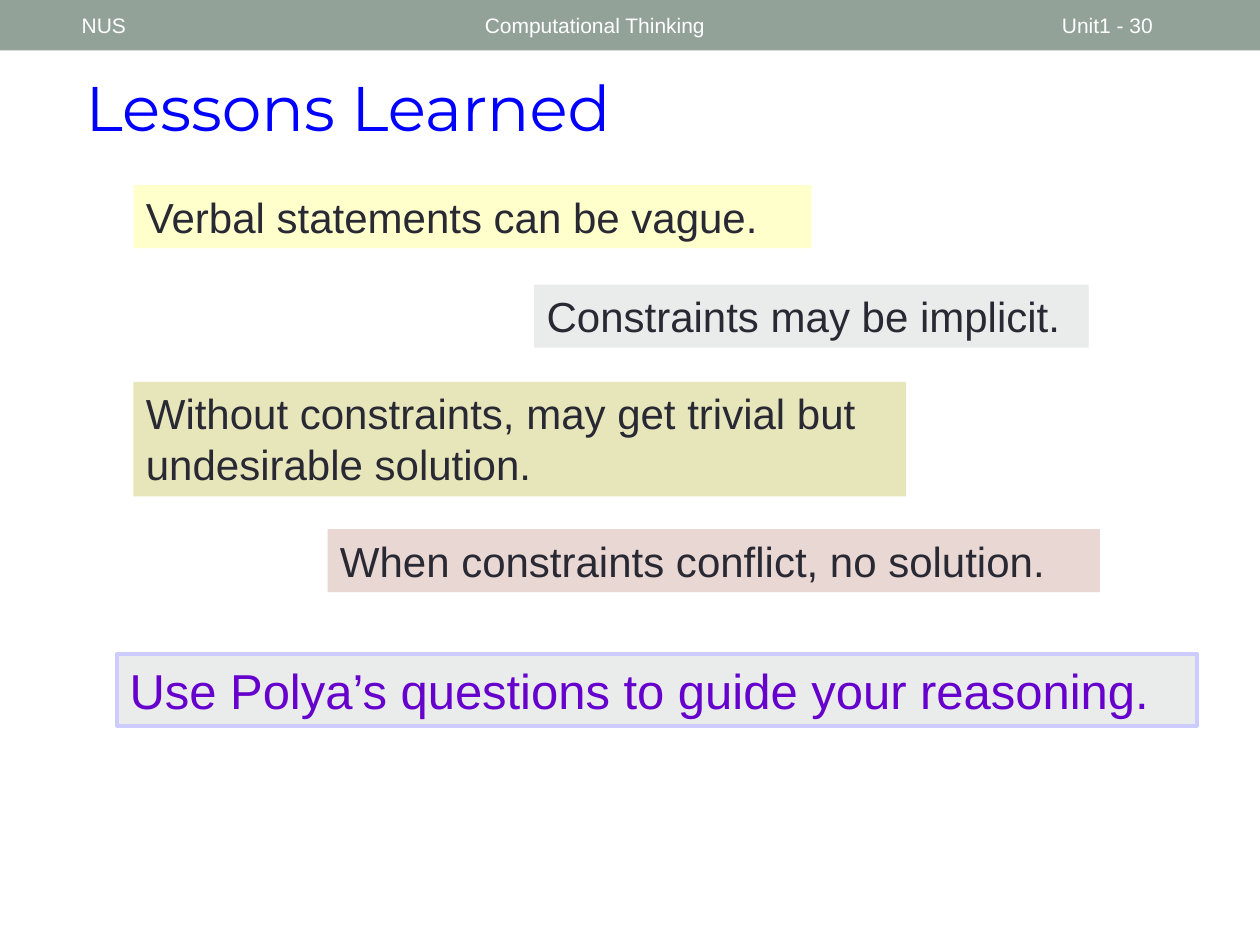
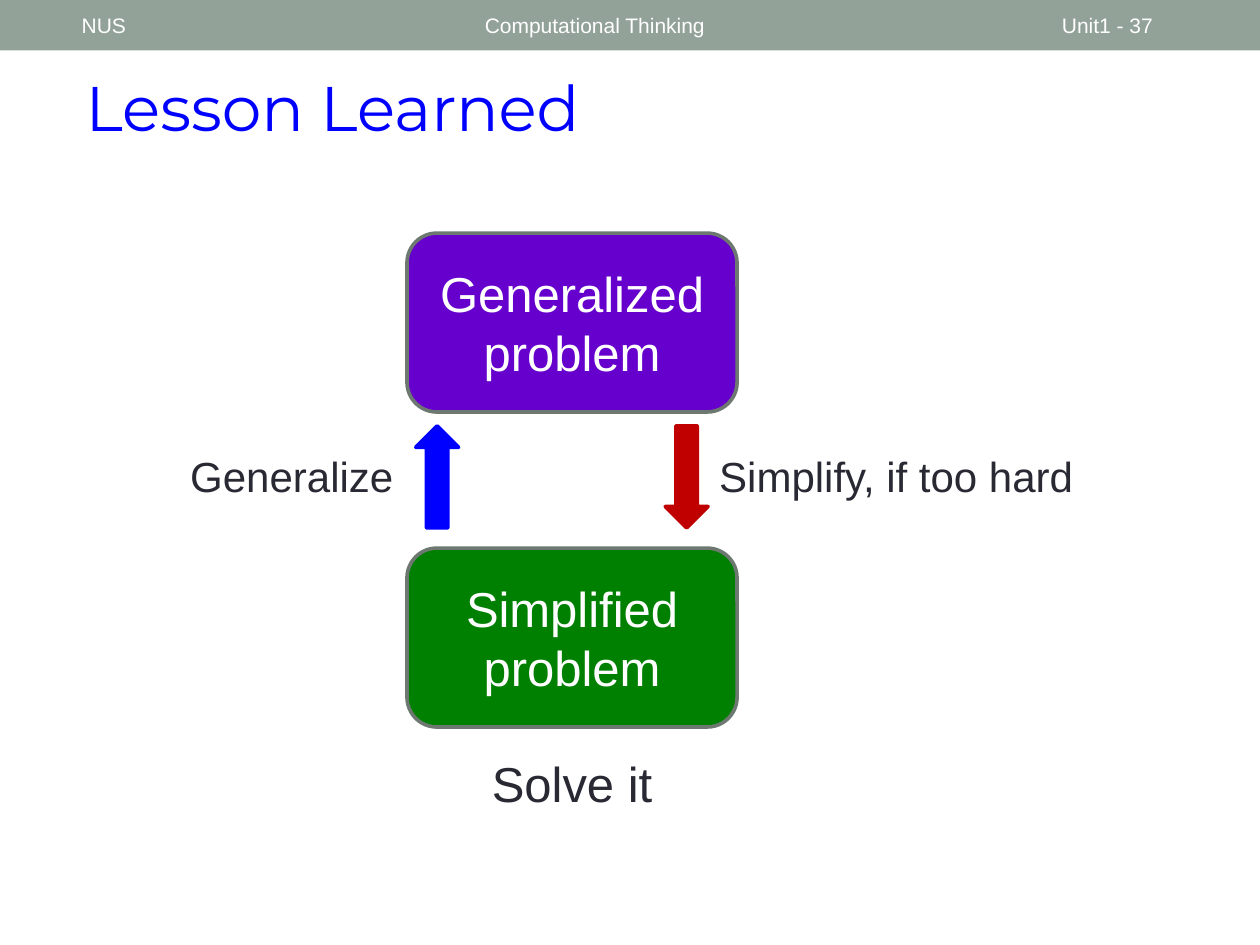
from dataclasses import dataclass

from pptx import Presentation
from pptx import util as u
from pptx.dml.color import RGBColor
from pptx.enum import shapes, text
from pptx.shapes.autoshape import Shape
from pptx.slide import Slide

COLORS = {
    "band": "93A299",
    "white": "FFFFFF",
    "title": "0000FF",
    "body": "292934",
    "yellow": "FFFFCC",
    "mist": "E9ECEB",
    "olive": "E7E5BA",
    "rose": "E9D7D3",
    "lavender": "CCCCFF",
    "purple": "6600CC",
    "green": "008000",
    "outline": "6D7871",
    "red": "C00000",
}
BODY_FONT = "Arial"
TITLE_FONT = "Montserrat"
TITLE_ONLY = 5
LEFT, CENTER, RIGHT = text.PP_ALIGN.LEFT, text.PP_ALIGN.CENTER, text.PP_ALIGN.RIGHT
TOP, MIDDLE = text.MSO_ANCHOR.TOP, text.MSO_ANCHOR.MIDDLE
RECT = shapes.MSO_SHAPE.RECTANGLE
ROUNDED = shapes.MSO_SHAPE.ROUNDED_RECTANGLE


@dataclass(frozen=True)
class Box:
    left: float
    top: float
    width: float
    height: float

    def lengths(self) -> tuple[int, ...]:
        return tuple(map(u.Inches, (self.left, self.top, self.width, self.height)))


@dataclass(frozen=True)
class Lesson:
    wording: str
    box: Box
    fill: str
    size: int = 24
    color: str = "body"
    line: str | None = None


@dataclass(frozen=True)
class Stage:
    wording: str
    top: float
    fill: str


@dataclass(frozen=True)
class Step:
    arrow: shapes.MSO_SHAPE
    arrow_left: float
    color: str
    wording: str
    label_left: float
    label_width: float
    align: text.PP_ALIGN


LESSONS = [
    Lesson("Verbal statements can be vague.", Box(1.06, 1.47, 5.38, 0.5), "yellow"),
    Lesson("Constraints may be implicit.", Box(4.24, 2.26, 4.4, 0.5), "mist"),
    Lesson("Without constraints, may get trivial but undesirable solution.",
           Box(1.06, 3.03, 6.13, 0.91), "olive"),
    Lesson("When constraints conflict, no solution.", Box(2.6, 4.2, 6.13, 0.5), "rose"),
    Lesson("Use Polya’s questions to guide your reasoning.",
           Box(0.93, 5.19, 8.57, 0.57), "mist", 28, "purple", "lavender"),
]
STAGE_LEFT, STAGE_WIDTH, STAGE_HEIGHT = 3.23, 2.62, 1.42
STAGES = [
    Stage("Generalized problem", 1.85, "purple"),
    Stage("Simplified problem", 4.35, "green"),
]
STEPS = [
    Step(shapes.MSO_SHAPE.DOWN_ARROW, 5.28, "red", "Simplify, if too hard", 5.61, 3.18, LEFT),
    Step(shapes.MSO_SHAPE.UP_ARROW, 3.3, "title", "Generalize", 1.16, 2.06, RIGHT),
]


def rgb(name: str) -> RGBColor:
    return RGBColor.from_string(COLORS[name])


def write_text(shape: Shape, wording: str, *, size: int = 24, color: str = "body",
               font: str = BODY_FONT, align: text.PP_ALIGN = LEFT,
               anchor: text.MSO_ANCHOR = TOP, grow: bool = False) -> None:
    frame = shape.text_frame
    frame.text = wording
    frame.word_wrap = True
    frame.vertical_anchor = anchor
    fit = text.MSO_AUTO_SIZE
    frame.auto_size = fit.SHAPE_TO_FIT_TEXT if grow else fit.NONE
    paragraph = frame.paragraphs[0]
    paragraph.alignment = align
    style = paragraph.runs[0].font
    style.name, style.size = font, u.Pt(size)
    style.color.rgb = rgb(color)


def add_panel(slide: Slide, kind: shapes.MSO_SHAPE, box: Box, fill: str,
              line: str | None = None, line_width: float = 2.08) -> Shape:
    panel = slide.shapes.add_shape(kind, *box.lengths())
    panel.shadow.inherit = False
    panel.fill.solid()
    panel.fill.fore_color.rgb = rgb(fill)
    if line:
        panel.line.color.rgb = rgb(line)
        panel.line.width = u.Pt(line_width)
    else:
        panel.line.fill.background()
    return panel


def add_label(slide: Slide, box: Box, wording: str, **style) -> None:
    write_text(slide.shapes.add_textbox(*box.lengths()), wording, **style)


def add_lesson_slide(deck: Presentation, heading: str, number: int) -> Slide:
    slide = deck.slides.add_slide(deck.slide_layouts[TITLE_ONLY])
    add_panel(slide, RECT, Box(0, 0, 10, 0.4), "band")
    header = [("Computational Thinking", 3.75, 4.5),
              (f"Unit1 - {number}", 8.33, 1.17),
              ("NUS", 0.55, 3.12)]
    for wording, left, width in header:
        add_label(slide, Box(left, 0.02, width, 0.36), wording,
                  size=12, color="white", anchor=MIDDLE)
    title = slide.shapes.title
    title.left, title.top, title.width, title.height = Box(0.58, 0.49, 8.49, 0.71).lengths()
    write_text(title, heading, size=36, color="title", font=TITLE_FONT, grow=True)
    return slide


def draw_lessons(slide: Slide) -> None:
    for lesson in LESSONS:
        panel = add_panel(slide, RECT, lesson.box, lesson.fill, lesson.line, 2.25)
        write_text(panel, lesson.wording, size=lesson.size, color=lesson.color, grow=True)


def draw_problem_cycle(slide: Slide) -> None:
    for stage in STAGES:
        box = Box(STAGE_LEFT, stage.top, STAGE_WIDTH, STAGE_HEIGHT)
        panel = add_panel(slide, ROUNDED, box, stage.fill, "outline")
        write_text(panel, stage.wording, size=28, color="white", align=CENTER, anchor=MIDDLE)
    for step in STEPS:
        add_panel(slide, step.arrow, Box(step.arrow_left, 3.38, 0.34, 0.81),
                  step.color, step.color)
        add_label(slide, Box(step.label_left, 3.53, step.label_width, 0.5),
                  step.wording, align=step.align, grow=True)
    add_label(slide, Box(STAGE_LEFT, 5.93, STAGE_WIDTH, 0.57), "Solve it",
              size=28, align=CENTER, grow=True)


def main() -> None:
    deck = Presentation()
    deck.slide_width, deck.slide_height = u.Inches(10), u.Inches(7.5)
    draw_lessons(add_lesson_slide(deck, "Lessons Learned", 30))
    draw_problem_cycle(add_lesson_slide(deck, "Lesson Learned", 37))
    deck.save("out.pptx")


if __name__ == "__main__":
    main()
